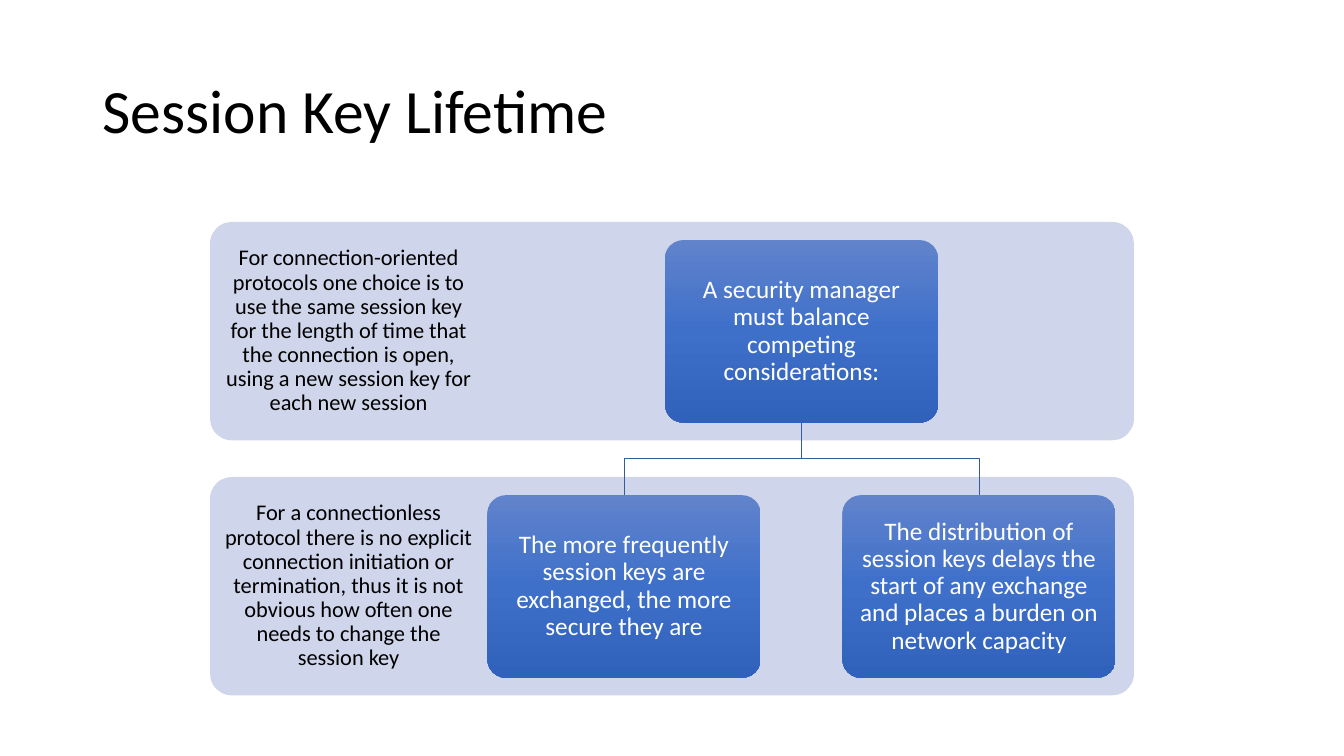
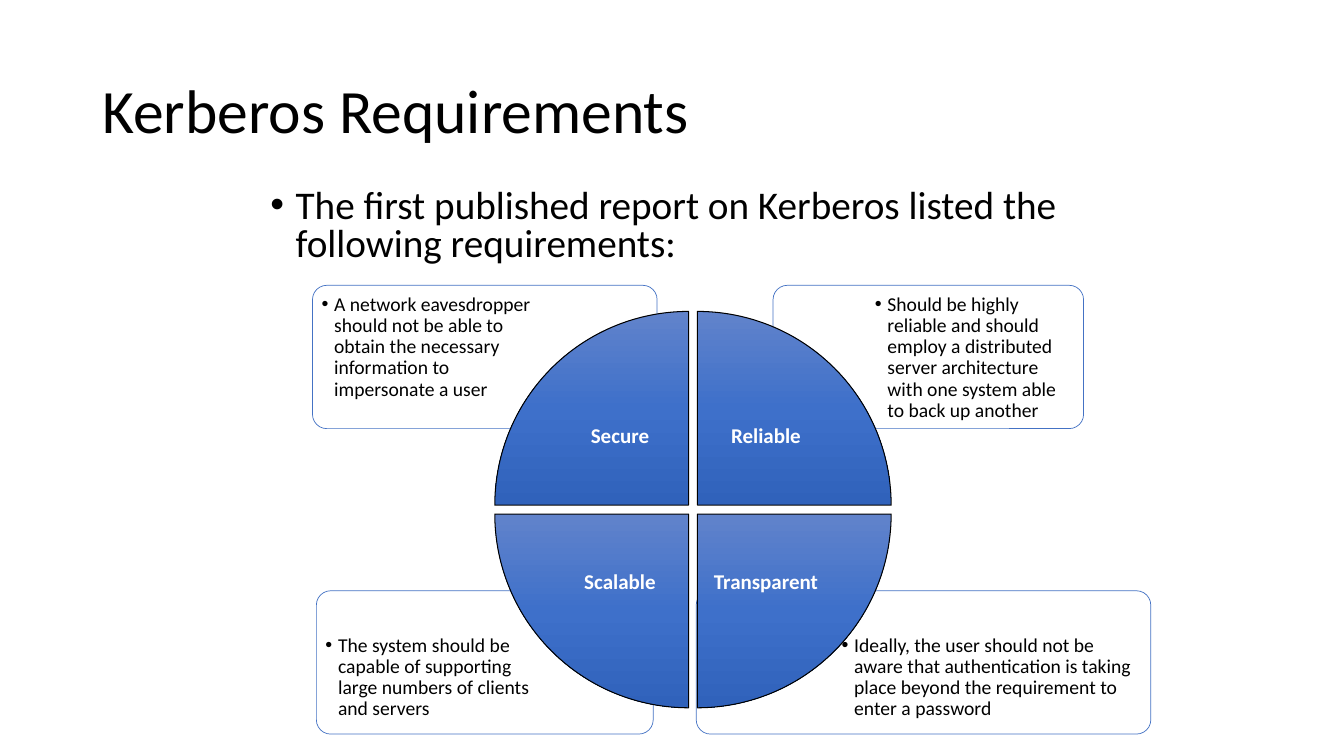
from dataclasses import dataclass
from typing import Any

from lxml import etree
from pptx import Presentation
from pptx.dml.color import RGBColor
from pptx.enum.shapes import MSO_SHAPE
from pptx.enum.text import MSO_ANCHOR, MSO_AUTO_SIZE, PP_ALIGN
from pptx.oxml.ns import qn
from pptx.util import Pt

ROUNDED, WEDGE = MSO_SHAPE.ROUNDED_RECTANGLE, MSO_SHAPE.PIE_WEDGE
TOP, MIDDLE = MSO_ANCHOR.TOP, MSO_ANCHOR.MIDDLE
LEFT, CENTER = PP_ALIGN.LEFT, PP_ALIGN.CENTER

# Shared colours and text formats
BLACK = RGBColor(0x00, 0x00, 0x00)
WHITE = RGBColor(0xFF, 0xFF, 0xFF)
BAND_BLUE = RGBColor(0xCF, 0xD5, 0xEA)
CARD_EDGE = RGBColor(0x44, 0x72, 0xC4)
BRANCH_BLUE = RGBColor(0x36, 0x5B, 0x9D)
GRADIENT = (
    (0, RGBColor(0x61, 0x83, 0xCB)),
    (50, RGBColor(0x3E, 0x70, 0xCA)),
    (100, RGBColor(0x30, 0x62, 0xBB)),
)


@dataclass(frozen=True)
class TextStyle:
    size: float
    color: RGBColor = BLACK
    bold: bool = False
    align: Any = LEFT
    anchor: Any = TOP
    spacing: float = 0.9
    bullet_indent: float = 0


TITLE = TextStyle(44, anchor=MIDDLE)
INTRO = TextStyle(28, spacing=0.8, bullet_indent=18)
BAND = TextStyle(16, align=CENTER, anchor=MIDDLE)
NODE = TextStyle(18, WHITE, align=CENTER, anchor=MIDDLE)
CARD = TextStyle(14, bullet_indent=9)
WEDGE_LABEL = TextStyle(15, WHITE, True, CENTER, MIDDLE)


@dataclass(frozen=True)
class Box:
    left: float
    top: float
    width: float
    height: float

    def emu(self) -> tuple:
        return Pt(self.left), Pt(self.top), Pt(self.width), Pt(self.height)


@dataclass(frozen=True)
class Insets:
    left: float = 7.2
    top: float = 3.6
    right: float = 7.2
    bottom: float = 3.6


@dataclass(frozen=True)
class Requirement:
    label: str
    detail: str
    card: Box
    insets: Insets
    column: int
    row: int
    rotation: int


def write(shape: Any, text: str, style: TextStyle, insets: Insets = Insets()) -> None:
    frame = shape.text_frame
    frame_format = {
        "word_wrap": True,
        "auto_size": MSO_AUTO_SIZE.NONE,
        "vertical_anchor": style.anchor,
        "margin_left": Pt(insets.left),
        "margin_top": Pt(insets.top),
        "margin_right": Pt(insets.right),
        "margin_bottom": Pt(insets.bottom),
    }
    for name, value in frame_format.items():
        setattr(frame, name, value)

    paragraph = frame.paragraphs[0]
    paragraph_format = {
        "alignment": style.align,
        "line_spacing": style.spacing,
        "space_before": Pt(0),
        "space_after": Pt(0),
    }
    for name, value in paragraph_format.items():
        setattr(paragraph, name, value)
    if style.bullet_indent:
        properties = paragraph._p.get_or_add_pPr()
        properties.set("marL", str(Pt(style.bullet_indent)))
        properties.set("indent", str(-Pt(style.bullet_indent)))
        etree.SubElement(properties, qn("a:buFont"), typeface="Arial")
        etree.SubElement(properties, qn("a:buChar"), char="•")

    run = paragraph.add_run()
    run.text = text
    font_format = {"name": "Calibri", "size": Pt(style.size), "bold": style.bold}
    for name, value in font_format.items():
        setattr(run.font, name, value)
    run.font.color.rgb = style.color


def fill_gradient(shape: Any) -> None:
    """Vertical three-stop gradient that stays upright when the shape turns."""
    shape.fill.gradient()
    shape.fill.gradient_angle = 270
    gradient = shape._element.spPr.find(qn("a:gradFill"))
    gradient.set("rotWithShape", "0")
    stops = gradient.find(qn("a:gsLst"))
    for old_stop in list(stops):
        stops.remove(old_stop)
    for percent, color in GRADIENT:
        stop = etree.SubElement(stops, qn("a:gs"), pos=str(percent * 1000))
        etree.SubElement(stop, qn("a:srgbClr"), val=str(color))


def add_figure(slide: Any, kind: Any, box: Box, fill: RGBColor | None = None,
               edge: RGBColor | None = None, edge_width: float = 0.5) -> Any:
    """Draw a preset shape; without a fill colour it gets the gradient."""
    figure = slide.shapes.add_shape(kind, *box.emu())
    figure.shadow.inherit = False
    if kind == ROUNDED:
        figure.adjustments[0] = 0.1
    if fill is None:
        fill_gradient(figure)
    else:
        figure.fill.solid()
        figure.fill.fore_color.rgb = fill
    if edge is None:
        figure.line.fill.background()
    else:
        figure.line.color.rgb = edge
        figure.line.width = Pt(edge_width)
    return figure


def place(placeholder: Any, box: Box) -> None:
    for name, value in zip(("left", "top", "width", "height"), box.emu()):
        setattr(placeholder, name, value)


def add_titled_slide(deck: Any, layout: int, title: str) -> Any:
    slide = deck.slides.add_slide(deck.slide_layouts[layout])
    place(slide.shapes.title, Box(66, 28.8, 828, 104.4))
    write(slide.shapes.title, title, TITLE)
    return slide


# Session key hierarchy
BAND_LEFT, BAND_WIDTH, BAND_HEIGHT = 150, 660, 156
BAND_TOPS = (158.5, 340.7)
NODE_WIDTH, NODE_HEIGHT, NODE_MARGIN = 195, 130.3, 13
ROOT_X, CHILD_OFFSET = 572.5, 126.8
BAND_TEXTS = (
    "For connection-oriented protocols one choice is to use the same session key "
    "for the length of time that the connection is open, using a new session key "
    "for each new session",
    "For a connectionless protocol there is no explicit connection initiation or "
    "termination, thus it is not obvious how often one needs to change the session key",
)
ROOT_TEXT = "A security manager must balance competing considerations:"
CHILD_TEXTS = (
    "The more frequently session keys are exchanged, the more secure they are",
    "The distribution of session keys delays the start of any exchange and places "
    "a burden on network capacity",
)


def add_node(slide: Any, center_x: float, top: float, text: str) -> None:
    box = Box(center_x - NODE_WIDTH / 2, top, NODE_WIDTH, NODE_HEIGHT)
    write(add_figure(slide, ROUNDED, box), text, NODE, Insets(5, 5, 5, 5))


def add_branch(slide: Any, start_y: float, end_x: float, end_y: float) -> None:
    middle_y = (start_y + end_y) / 2
    builder = slide.shapes.build_freeform(Pt(ROOT_X), Pt(start_y))
    corners = ((ROOT_X, middle_y), (end_x, middle_y), (end_x, end_y))
    builder.add_line_segments([(Pt(x), Pt(y)) for x, y in corners], close=False)
    branch = builder.convert_to_shape()
    branch.shadow.inherit = False
    branch.fill.background()
    branch.line.color.rgb = BRANCH_BLUE
    branch.line.width = Pt(0.5)


def build_lifetime(deck: Any) -> None:
    slide = add_titled_slide(deck, 5, "Session Key Lifetime")
    for top, text in zip(BAND_TOPS, BAND_TEXTS):
        band = add_figure(slide, ROUNDED, Box(BAND_LEFT, top, BAND_WIDTH, BAND_HEIGHT), BAND_BLUE)
        write(band, text, BAND, Insets(4, 4, 466, 4))

    root_top, child_top = (top + NODE_MARGIN for top in BAND_TOPS)
    add_node(slide, ROOT_X, root_top, ROOT_TEXT)
    for side, text in zip((-1, 1), CHILD_TEXTS):
        child_x = ROOT_X + side * CHILD_OFFSET
        add_branch(slide, root_top + NODE_HEIGHT, child_x, child_top)
        add_node(slide, child_x, child_top, text)


# Kerberos requirements wheel
WHEEL_X, WHEEL_Y = 495, 364
WEDGE_SIDE, WEDGE_GAP, LABEL_SIDE = 138.4, 6.3, 98
CARD_HEIGHT, UPPER_TOP, LOWER_TOP = 102.4, 203.8, 422
NEAR, LOWER_INSET = 3.5, 28.7
REQUIREMENTS = (
    Requirement(
        "Transparent",
        "Ideally, the user should not be aware that authentication is taking place "
        "beyond the requirement to enter a password",
        Box(497.3, LOWER_TOP, 324.7, CARD_HEIGHT), Insets(100.8, LOWER_INSET, NEAR, 0),
        1, 1, 180),
    Requirement(
        "Scalable",
        "The system should be capable of supporting large numbers of clients and servers",
        Box(226, LOWER_TOP, 240.6, CARD_HEIGHT), Insets(NEAR, LOWER_INSET, 75.5, 0),
        0, 1, 270),
    Requirement(
        "Reliable",
        "Should be highly reliable and should employ a distributed server architecture "
        "with one system able to back up another",
        Box(552.2, UPPER_TOP, 221.8, CARD_HEIGHT), Insets(69.7, NEAR, NEAR, 0),
        1, 0, 90),
    Requirement(
        "Secure",
        "A network eavesdropper should not be able to obtain the necessary information "
        "to impersonate a user",
        Box(223.2, UPPER_TOP, 246.2, CARD_HEIGHT), Insets(NEAR, NEAR, 77.6, 0),
        0, 0, 0),
)


def quadrant(side: float, column: int, row: int) -> Box:
    """Square of the given side whose corner meets the middle of the wheel."""
    offsets = (-WEDGE_GAP / 2 - side, WEDGE_GAP / 2)
    return Box(WHEEL_X + offsets[column], WHEEL_Y + offsets[row], side, side)


def build_requirements(deck: Any) -> None:
    slide = add_titled_slide(deck, 1, "Kerberos Requirements")
    intro = slide.placeholders[1]
    place(intro, Box(186, 132, 596, 65.5))
    write(intro, "The first published report on Kerberos listed the following requirements:", INTRO)

    # Cards lie behind the wheel
    for item in REQUIREMENTS:
        card = add_figure(slide, ROUNDED, item.card, WHITE, CARD_EDGE)
        write(card, item.detail, CARD, item.insets)
    for item in REQUIREMENTS:
        wedge_box = quadrant(WEDGE_SIDE, item.column, item.row)
        wedge = add_figure(slide, WEDGE, wedge_box, edge=BLACK, edge_width=0.75)
        wedge.rotation = item.rotation
        label_box = quadrant(LABEL_SIDE, item.column, item.row)
        label = slide.shapes.add_textbox(*label_box.emu())
        write(label, item.label, WEDGE_LABEL)


def main() -> None:
    deck = Presentation()
    deck.slide_width, deck.slide_height = Pt(960), Pt(540)
    build_lifetime(deck)
    build_requirements(deck)
    deck.save("out.pptx")


if __name__ == "__main__":
    main()
